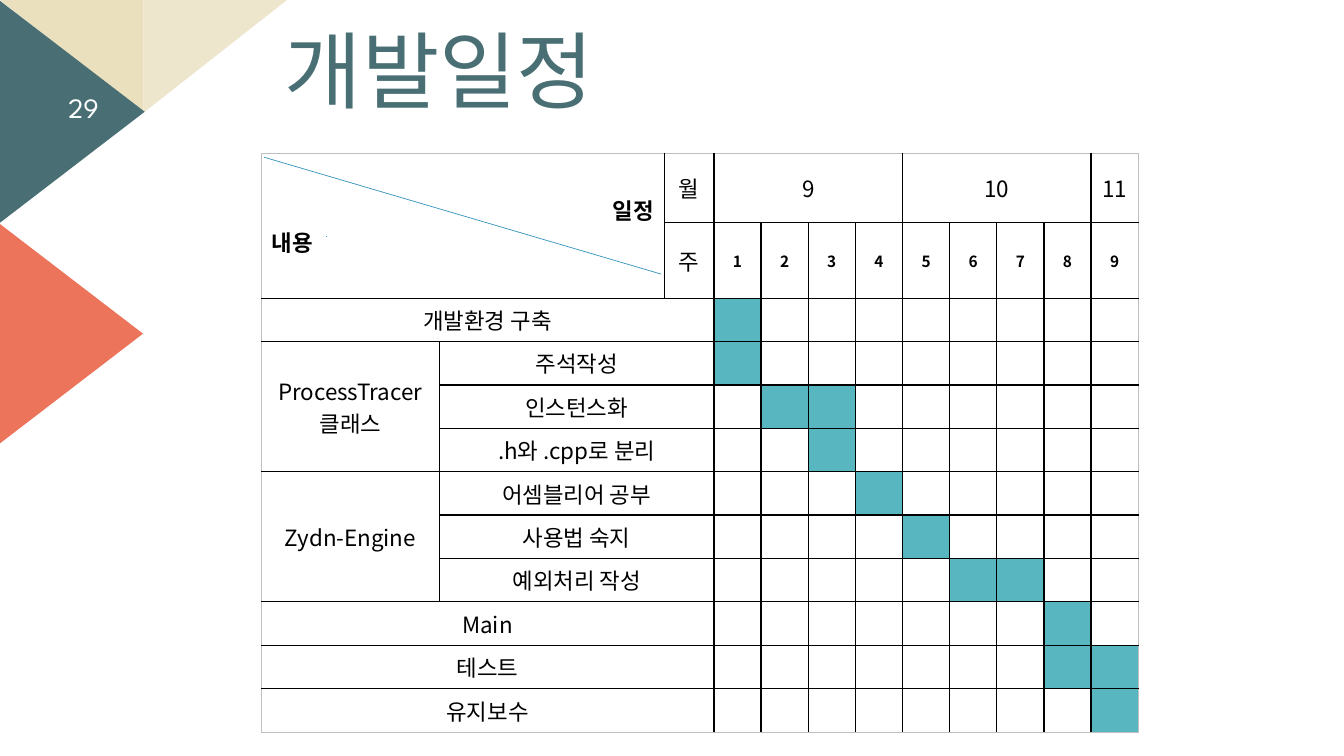
from dataclasses import dataclass

from lxml import etree
from pptx import Presentation
from pptx.dml.color import RGBColor
from pptx.enum.shapes import MSO_CONNECTOR, MSO_SHAPE
from pptx.enum.text import MSO_ANCHOR, PP_ALIGN
from pptx.oxml.ns import qn
from pptx.shapes.autoshape import Shape
from pptx.slide import Slide
from pptx.table import Table, _Cell
from pptx.text.text import TextFrame
from pptx.util import Pt

STRAIGHT = MSO_CONNECTOR.STRAIGHT
TRIANGLE = MSO_SHAPE.ISOSCELES_TRIANGLE
RIGHT_TRIANGLE = MSO_SHAPE.RIGHT_TRIANGLE
LEFT, CENTER, RIGHT = PP_ALIGN.LEFT, PP_ALIGN.CENTER, PP_ALIGN.RIGHT
TOP, MIDDLE = MSO_ANCHOR.TOP, MSO_ANCHOR.MIDDLE

BLACK = RGBColor(0x00, 0x00, 0x00)
GREY = RGBColor(0xBF, 0xBF, 0xBF)
OFF_WHITE = RGBColor(0xFE, 0xFF, 0xFF)
SLATE = RGBColor(0x49, 0x6F, 0x74)
CORAL = RGBColor(0xEC, 0x74, 0x5B)
SAND = RGBColor(0xEA, 0xE0, 0xBE)
PALE_SAND = RGBColor(0xEE, 0xE6, 0xCC)
BLUE = RGBColor(0x34, 0x94, 0xBA)
TEAL = RGBColor(0x58, 0xB6, 0xC0)

KOREAN_FONT = "Noto Sans CJK KR"
NUMBER_FONT = "League Spartan"

TABLE_LEFT, TABLE_TOP = 186.5, 109.5
WEEK_COUNT = 9
FIRST_WEEK_COLUMN = 3
FIRST_TASK_ROW = 2
COLUMN_WIDTHS = [127.5, 160.5, 35.5] + [33.7] * WEEK_COUNT


@dataclass
class Triangle:
    preset: MSO_SHAPE
    left: float
    top: float
    width: float
    height: float
    rotation: int
    color: RGBColor
    flipped: bool = False


@dataclass
class Label:
    text: str
    row: int
    column: int
    rows: int = 1
    columns: int = 1


@dataclass
class Task:
    name: str
    weeks: tuple[int, ...]
    grouped: bool = False


TRIANGLES = [
    Triangle(RIGHT_TRIANGLE, 0, 0, 102.5, 80.5, 180, SAND),
    Triangle(RIGHT_TRIANGLE, 102.5, 0, 102.5, 80.5, 180, PALE_SAND, flipped=True),
    Triangle(TRIANGLE, -28, 28, 159, 103.7, 90, SLATE),
    Triangle(TRIANGLE, -29.2, 186.5, 159, 103.7, 90, CORAL),
]
HEADINGS = [
    Label("월", 0, 2),
    Label("주", 1, 2),
    Label("9", 0, 3, columns=4),
    Label("10", 0, 7, columns=4),
    Label("11", 0, 11),
]
GROUPS = [
    Label("ProcessTracer 클래스", 3, 0, rows=3),
    Label("Zydn-Engine", 6, 0, rows=3),
]
TASKS = [
    Task("개발환경 구축", (1,)),
    Task("주석작성", (1,), grouped=True),
    Task("인스턴스화", (2, 3), grouped=True),
    Task(".h와 .cpp로 분리", (3,), grouped=True),
    Task("어셈블리어 공부", (4,), grouped=True),
    Task("사용법 숙지", (5,), grouped=True),
    Task("예외처리 작성", (6, 7), grouped=True),
    Task("Main", (8,)),
    Task("테스트", (8, 9)),
    Task("유지보수", (9,)),
]
ROW_HEIGHTS = [49.5, 54] + [31] * len(TASKS)


def write(frame: TextFrame, text: str, *, size: float = 16, font: str = KOREAN_FONT,
          color: RGBColor = BLACK, bold: bool = False, align: PP_ALIGN = CENTER,
          spacing: float | None = None, added: bool = False) -> None:
    """Fill the first paragraph, or a further one when added is true."""
    para = frame.add_paragraph() if added else frame.paragraphs[0]
    para.alignment = align
    para.line_spacing = spacing
    span = para.add_run()
    span.text = text
    span.font.size = Pt(size)
    span.font.bold = bold
    span.font.name = font
    span.font.color.rgb = color
    east_asian = etree.SubElement(span.font._element, qn("a:ea"))
    east_asian.set("typeface", font)


def add_text_box(page: Slide, left: float, top: float, width: float, height: float,
                 anchor: MSO_ANCHOR) -> TextFrame:
    frame = page.shapes.add_textbox(Pt(left), Pt(top), Pt(width), Pt(height)).text_frame
    frame.word_wrap = True
    frame.vertical_anchor = anchor
    return frame


def add_triangle(page: Slide, item: Triangle) -> Shape:
    shape = page.shapes.add_shape(item.preset, Pt(item.left), Pt(item.top),
                                  Pt(item.width), Pt(item.height))
    shape.rotation = item.rotation
    shape.shadow.inherit = False
    shape.fill.solid()
    shape.fill.fore_color.rgb = item.color
    shape.line.fill.background()
    if item.flipped:
        shape._element.spPr.xfrm.set("flipH", "1")
    return shape


def add_line(page: Slide, x1: float, y1: float, x2: float, y2: float) -> None:
    line = page.shapes.add_connector(STRAIGHT, Pt(x1), Pt(y1), Pt(x2), Pt(y2))
    line.line.color.rgb = BLUE
    line.line.width = Pt(0.5)
    etree.SubElement(line._element.spPr, qn("a:effectLst"))


def set_border(cell: _Cell, side: str, outer: bool) -> None:
    border = etree.SubElement(cell._tc.get_or_add_tcPr(), qn(f"a:ln{side}"))
    border.set("w", str(Pt(0.5 if outer else 1)))
    fill = etree.SubElement(border, qn("a:solidFill"))
    etree.SubElement(fill, qn("a:srgbClr")).set("val", str(GREY if outer else BLACK))


def format_cells(table: Table) -> None:
    """Give every cell its margins, borders and an empty fill."""
    last_row, last_column = len(ROW_HEIGHTS) - 1, len(COLUMN_WIDTHS) - 1
    for row in range(last_row + 1):
        for column in range(last_column + 1):
            cell = table.cell(row, column)
            cell.vertical_anchor = MIDDLE
            cell.margin_left = cell.margin_right = Pt(7.6)
            cell.margin_top = cell.margin_bottom = Pt(3.8)
            set_border(cell, "L", column == 0)
            set_border(cell, "R", column == last_column)
            set_border(cell, "T", row == 0)
            set_border(cell, "B", row == last_row)
            cell.fill.background()
            cell.text_frame.paragraphs[0]._p.get_or_add_endParaRPr().set("sz", "1100")


def merge(table: Table, row: int, column: int, rows: int, columns: int) -> TextFrame:
    cell = table.cell(row, column)
    if rows * columns > 1:
        cell.merge(table.cell(row + rows - 1, column + columns - 1))
    return cell.text_frame


def add_schedule(page: Slide) -> None:
    table = page.shapes.add_table(
        len(ROW_HEIGHTS), len(COLUMN_WIDTHS), Pt(TABLE_LEFT), Pt(TABLE_TOP),
        Pt(sum(COLUMN_WIDTHS)), Pt(sum(ROW_HEIGHTS))).table
    table.first_row = table.horz_banding = False
    for column, width in zip(table.columns, COLUMN_WIDTHS):
        column.width = Pt(width)
    for row, height in zip(table.rows, ROW_HEIGHTS):
        row.height = Pt(height)
    format_cells(table)

    corner = merge(table, 0, 0, 2, 2)
    write(corner, "일정", bold=True, align=RIGHT)
    write(corner, "내용", bold=True, align=LEFT, added=True)
    for label in HEADINGS + GROUPS:
        write(merge(table, label.row, label.column, label.rows, label.columns), label.text)
    for week in range(1, WEEK_COUNT + 1):
        cell = table.cell(1, FIRST_WEEK_COLUMN + week - 1)
        write(cell.text_frame, str(week), size=11, bold=True)
    for row, task in enumerate(TASKS, FIRST_TASK_ROW):
        start = 1 if task.grouped else 0
        write(merge(table, row, start, 1, FIRST_WEEK_COLUMN - start), task.name)
        for week in task.weeks:
            fill = table.cell(row, FIRST_WEEK_COLUMN + week - 1).fill
            fill.solid()
            fill.fore_color.rgb = TEAL


def main() -> None:
    deck = Presentation()
    deck.slide_width, deck.slide_height = Pt(960), Pt(540)
    page = deck.slides.add_slide(deck.slide_layouts[6])
    for item in TRIANGLES:
        add_triangle(page, item)
    title = add_text_box(page, 196.5, 23.8, 436.3, 92.9, TOP)
    write(title, "개발일정", size=60, color=SLATE, align=LEFT, spacing=0.8)
    add_schedule(page)
    add_line(page, 233.3, 169.2, 233.3, 168.5)
    add_line(page, 188.6, 112.3, 472.3, 195.8)
    number = add_text_box(page, 31.7, 61.9, 46, 28.8, MIDDLE)
    write(number, "29", size=20, font=NUMBER_FONT, color=OFF_WHITE, align=RIGHT)
    deck.save("out.pptx")


if __name__ == "__main__":
    main()
